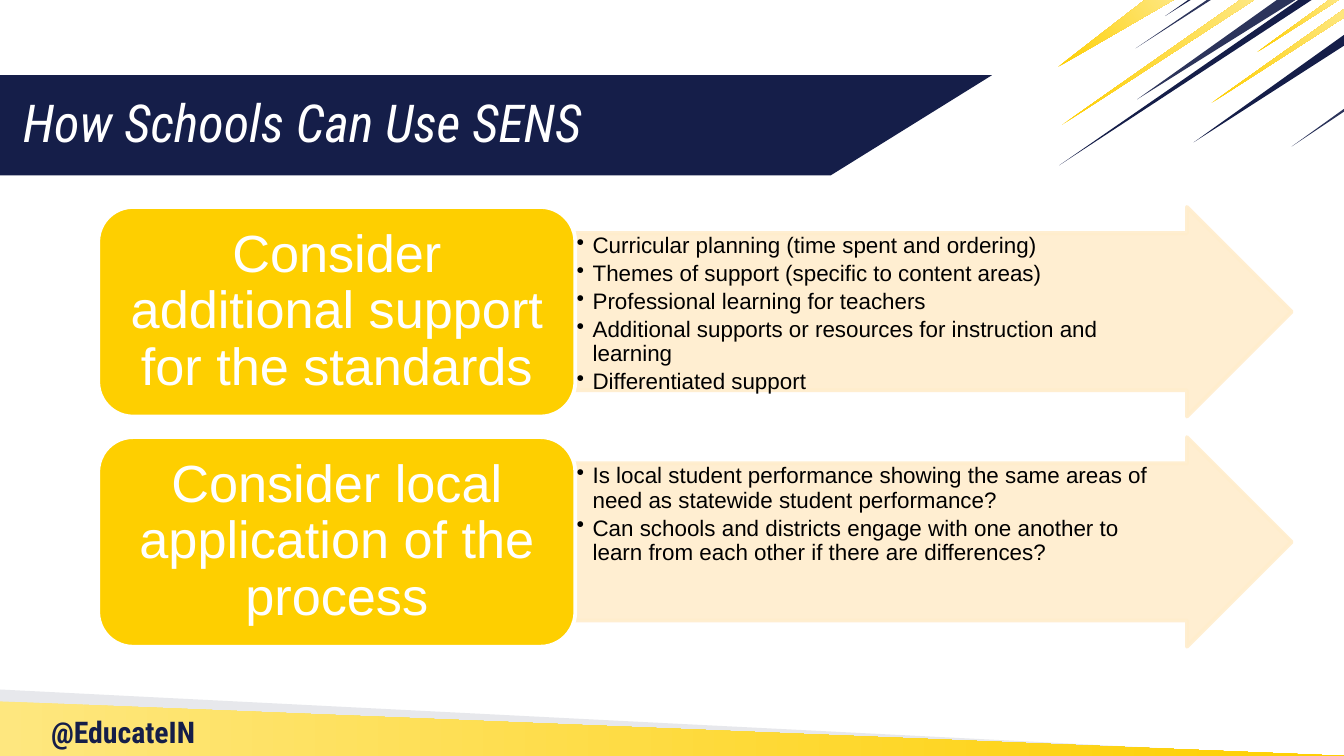
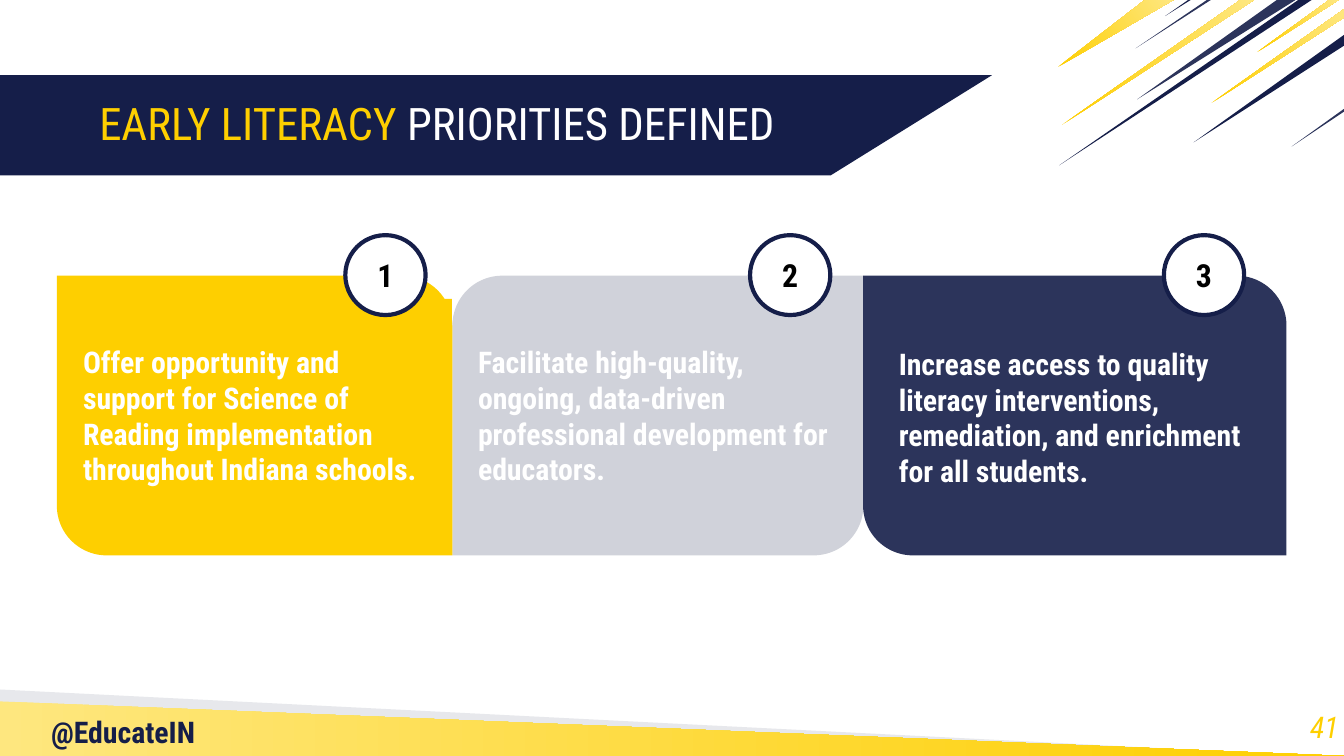
from dataclasses import dataclass

from lxml.etree import SubElement
from pptx import Presentation
from pptx.dml.color import RGBColor
from pptx.enum.shapes import MSO_SHAPE as Shape
from pptx.enum.text import MSO_ANCHOR as Anchor, PP_ALIGN as Align
from pptx.oxml.ns import qn
from pptx.util import Pt


@dataclass(frozen=True)
class Theme:
    navy: str = "151E49"
    slate: str = "2C345B"
    gold: str = "FECF00"
    pale_gold: str = "FEE77F"
    cream: str = "FFEDCC"
    grey: str = "D0D2DA"
    mist: str = "E7E8EC"
    white: str = "FFFFFF"
    black: str = "000000"
    heading: str = "Roboto Condensed"
    body: str = "Arial"
    large: int = 28
    title: int = 24
    number: int = 17
    text: int = 16
    small: int = 12


theme = Theme()


def paint(shape, fill, line=None, weight=0):
    """Fill with one colour, or with a gradient given as (start, end, angle)."""
    shape.shadow.inherit = False
    if isinstance(fill, tuple):
        shape.fill.gradient()
        shape.fill.gradient_angle = fill[2]
        for stop, color in zip(shape.fill.gradient_stops, fill):
            stop.color.rgb = RGBColor.from_string(color)
    else:
        shape.fill.solid()
        shape.fill.fore_color.rgb = RGBColor.from_string(fill)
    if line:
        shape.line.color.rgb = RGBColor.from_string(line)
        shape.line.width = Pt(weight)
    else:
        shape.line.fill.background()


def write(shape, lines, size, color, font=theme.heading, bold=False, italic=False,
          align=Align.LEFT, anchor=Anchor.MIDDLE, insets=(7.2, 7.2, 7.2, 7.2),
          spacing=1.0, after=0, bullet=False):
    """Set the paragraphs of a shape; insets run left, top, right, bottom."""
    frame = shape.text_frame
    frame.word_wrap = True
    frame.vertical_anchor = anchor
    (frame.margin_left, frame.margin_top,
     frame.margin_right, frame.margin_bottom) = map(Pt, insets)
    frame.text = "\n".join(lines)
    for paragraph in frame.paragraphs:
        paragraph.alignment = align
        paragraph.line_spacing = spacing
        paragraph.space_after = Pt(after)
        if bullet:
            properties = paragraph._p.get_or_add_pPr()
            properties.set("marL", str(Pt(8.6)))
            properties.set("indent", str(-Pt(8.6)))
            SubElement(properties, qn("a:buChar")).set("char", "•")
        paragraph.font.name = font
        paragraph.font.size = Pt(size)
        paragraph.font.bold = bold
        paragraph.font.italic = italic
        paragraph.font.color.rgb = RGBColor.from_string(color)


deck = Presentation()
deck.slide_width, deck.slide_height = Pt(720), Pt(405)
title_only = deck.slide_layouts[5]
schools = deck.slides.add_slide(title_only)
literacy = deck.slides.add_slide(title_only)

# Shared band, streaks and footer wedges
glow = (theme.gold, theme.pale_gold, 35)
backdrop = [
    (theme.mist, [(0, 369.4), (0, 405), (640.8, 401.8)]),
    (theme.navy, [(0, 40.3), (0, 94), (445, 94), (531.4, 40.3)]),
    (glow, [(673.2, 28.1), (717.1, 0), (712.1, 0)]),
    (theme.navy, [(567.4, 88.6), (702.7, 0), (695.5, 0)]),
    (glow, [(613.4, 0), (566.6, 36), (628.6, 0)]),
    (glow, [(720, 9.4), (720, 5), (648.7, 55.4)]),
    (theme.slate, [(694.1, 0), (684, 0), (609.1, 53.3)]),
    (theme.navy, [(639.4, 76.3), (720, 24.5), (720, 18.7)]),
    (theme.slate, [(720, 59.8), (720, 58.3), (691.9, 78.5)]),
    (theme.navy, [(624.2, 8.6), (637.9, 0), (636.5, 0)]),
    (glow, [(568.8, 67), (671.8, 0), (664.6, 0)]),
    (theme.slate, [(608.4, 25.9), (648.7, 0), (646.6, 0)]),
    ((theme.pale_gold, theme.gold, 0), [(0, 375.8), (0, 405), (720, 405)]),
]
shared = []
for fill, outline in backdrop:
    start, *rest = [(Pt(x), Pt(y)) for x, y in outline]
    builder = schools.shapes.build_freeform(*start, scale=1.0)
    builder.add_line_segments(rest, close=True)
    piece = builder.convert_to_shape()
    paint(piece, fill)
    shared.append(piece)

handle = schools.shapes.add_textbox(Pt(23.8), Pt(378.7), Pt(147), Pt(14.4))
write(handle, ["@EducateIN"], theme.text, theme.navy, bold=True,
      anchor=Anchor.TOP, insets=(3.6, 3.6, 3.6, 3.6))
shared.append(handle)

# The shared parts belong to the layout, so both slides show them
for number, piece in enumerate(shared, start=20):
    piece.element.nvSpPr.cNvPr.set("id", str(number))
    title_only.shapes.element.append(piece.element)

# Titles
for slide, text, left, size, inset, italic in [
    (schools, "How Schools Can Use SENS", 12.2, theme.large, 0, True),
    (literacy, "EARLY LITERACY ", 48.2, theme.title, 5, False),
]:
    title = slide.shapes.title
    title.left, title.top, title.width, title.height = Pt(left), Pt(40.3), Pt(414.7), Pt(54)
    write(title, [text], size, theme.white, italic=italic, insets=[inset] * 4, spacing=0.9)

heading = literacy.shapes.title.text_frame.paragraphs[0]
heading.runs[0].font.color.rgb = RGBColor.from_string(theme.gold)
heading.add_run().text = "PRIORITIES DEFINED"

# Slide 1: each consideration points to its details
considerations = [
    ("Consider additional support for the standards", [
        "Curricular planning (time spent and ordering)",
        "Themes of support (specific to content areas)",
        "Professional learning for teachers",
        "Additional supports or resources for instruction and learning",
        "Differentiated support",
    ]),
    ("Consider local application of the process", [
        "Is local student performance showing the same areas of need as statewide "
        "student performance?",
        "Can schools and districts engage with one another to learn from each other "
        "if there are differences?",
    ]),
]
for row, (consideration, details) in enumerate(considerations):
    top = Pt(110.9 + row * 123.3)
    arrow = schools.shapes.add_shape(Shape.RIGHT_ARROW, Pt(308.2), top, Pt(383.8), Pt(112.3))
    arrow.adjustments[0], arrow.adjustments[1] = 0.75, 0.5
    paint(arrow, theme.cream, theme.cream, 2)
    for color in arrow.element.spPr.iter(qn("a:srgbClr")):
        SubElement(color, qn("a:alpha")).set("val", "90000")
    write(arrow, details, theme.small, theme.black, theme.body, anchor=Anchor.TOP,
          insets=(0.7, 0.7, 28, 0.7), spacing=0.9, after=2, bullet=True)

    label = schools.shapes.add_shape(Shape.ROUNDED_RECTANGLE, Pt(52.6), top, Pt(255.6), Pt(112.3))
    paint(label, theme.gold, theme.white, 2)
    write(label, [consideration], theme.large, theme.white, theme.body, align=Align.CENTER,
          insets=(8.6, 4.3, 8.6, 4.3), spacing=0.9)

# Slide 2: priority cards, the middle one rounded on the other diagonal
priorities = [
    ("Facilitate high-quality, ongoing, data-driven professional development for educators.",
     theme.grey, (0.178, 0), (242.4, 220.2), (249, 161.3, 206.8, 122.4)),
    ("Offer opportunity and support for Science of Reading implementation throughout "
     "Indiana schools.",
     theme.gold, (0, 0.178), (30.5, 211.8), (37.4, 160.2, 204.7, 124.6)),
    ("Increase access to quality literacy interventions, remediation, and enrichment "
     "for all students.",
     theme.slate, (0, 0.178), (462.4, 226.8), (474.4, 177.8, 202.3, 91.4)),
]
for priority, color, corners, (left, width), panel_box in priorities:
    card = literacy.shapes.add_shape(
        Shape.ROUND_2_DIAG_RECTANGLE, Pt(left), Pt(147.7), Pt(width), Pt(149.8))
    card.adjustments[0], card.adjustments[1] = corners
    paint(card, color)
    panel = literacy.shapes.add_shape(Shape.RECTANGLE, *map(Pt, panel_box))
    paint(panel, color)
    write(panel, [priority], theme.text, theme.white, bold=True)

# Number badges
for number, left in enumerate((185, 401.8, 623.5), start=1):
    badge = literacy.shapes.add_shape(Shape.OVAL, Pt(left), Pt(126), Pt(43), Pt(42.8))
    paint(badge, theme.white, theme.navy, 2.25)
    write(badge, [str(number)], theme.number, theme.black, bold=True, align=Align.CENTER)

# Page number
page = literacy.shapes.add_textbox(Pt(673.9), Pt(373.7), Pt(43.2), Pt(31))
write(page, ["41"], theme.text, theme.gold, italic=True, align=Align.RIGHT, insets=[0] * 4)

deck.save("out.pptx")
